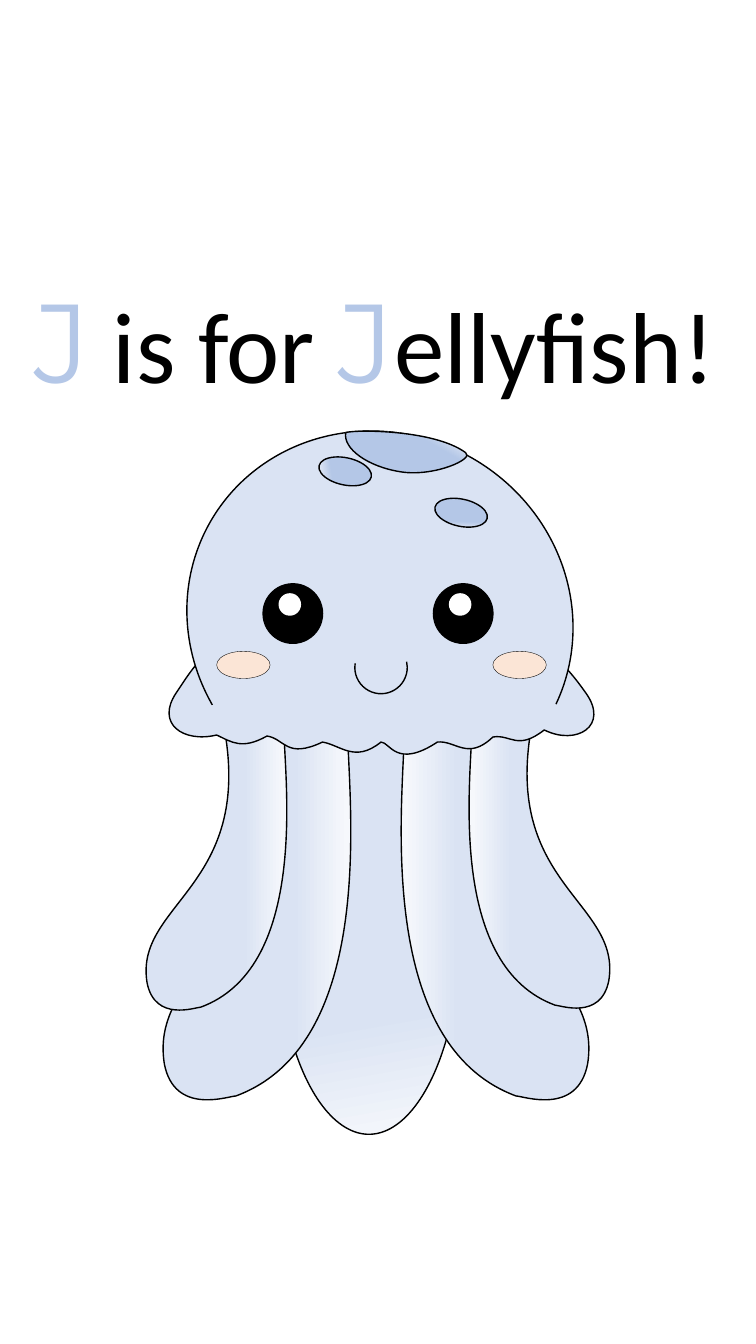
from lxml import etree
from pptx import Presentation
from pptx.dml.color import RGBColor
from pptx.enum.shapes import MSO_SHAPE
from pptx.enum.text import MSO_ANCHOR, MSO_AUTO_SIZE, PP_ALIGN
from pptx.oxml.ns import qn
from pptx.util import Cm, Pt

OVAL, RECT, ARC = MSO_SHAPE.OVAL, MSO_SHAPE.RECTANGLE, MSO_SHAPE.ARC
TOP, CENTER, FIXED = MSO_ANCHOR.TOP, PP_ALIGN.CENTER, MSO_AUTO_SIZE.NONE
INCH = 2.54
BLACK, WHITE = "000000", "FFFFFF"
PALE, SKIN, SPOT, BLUSH = "F6F8FC", "DAE3F3", "B4C7E7", "FBE5D6"

LONG = [[(2.67, 7.31)],
        [(2.67, 7.24), (2.73, 7.18), (2.8, 7.18)],
        [(3.32, 7.18)],
        [(3.39, 7.18), (3.45, 7.24), (3.45, 7.31)],
        [(3.47, 8.04), (3.72, 10.36), (2.34, 10.87)],
        [(2.27, 10.87), (1.73, 11.07), (1.63, 10.55)],
        [(1.47, 9.53), (2.97, 9.31), (2.67, 7.31)]]
SHORT = [[(2.24, 7.31)],
         [(2.24, 7.25), (2.28, 7.21), (2.34, 7.21)],
         [(2.73, 7.21)],
         [(2.78, 7.21), (2.82, 7.25), (2.82, 7.31)],
         [(2.84, 7.86), (3.03, 9.61), (1.99, 9.99)],
         [(1.94, 9.99), (1.54, 10.14), (1.46, 9.75)],
         [(1.33, 8.98), (2.47, 8.81), (2.24, 7.31)]]
SKIRT = [[(3.7, 5.98)],
         [(5.14, 6), (5.57, 6.53), (5.81, 6.87)],
         [(6.05, 7.2), (5.72, 7.4), (5.4, 7.24)],
         [(5.13, 7.45), (5.07, 7.28), (4.89, 7.31)],
         [(4.64, 7.55), (4.52, 7.34), (4.34, 7.36)],
         [(3.93, 7.63), (3.87, 7.36), (3.78, 7.36)],
         [(3.52, 7.57), (3.38, 7.39), (3.2, 7.36)],
         [(2.84, 7.53), (2.83, 7.33), (2.65, 7.3)],
         [(2.4, 7.44), (2.3, 7.36), (2.15, 7.29)],
         [(1.82, 7.37), (1.54, 7.18), (1.75, 6.87)],
         [(1.96, 6.56), (2.27, 5.96), (3.7, 5.98)]]
CROWN = [[(3.43, 4.29)],
         [(3.53, 4.26), (4.31, 4.26), (4.62, 4.49)],
         [(4.71, 4.55), (4.31, 4.73), (3.98, 4.68)],
         [(3.65, 4.63), (3.4, 4.45), (3.43, 4.29)]]


def size(inches):
    """Turn inches into a length."""
    return Cm(inches * INCH)


def tint(code):
    """Turn a hex string into a colour."""
    return RGBColor.from_string(code)


class Page:
    """Hold the current slide and its style."""

    def __init__(self, slide):
        """Keep the slide to draw on."""
        self.slide = slide

    def title(self, box, runs):
        """Fill the title placeholder with styled runs."""
        shape = self.slide.shapes.title
        shape.left, shape.top, shape.width, shape.height = map(size, box)
        frame = shape.text_frame
        frame.word_wrap, frame.auto_size = True, FIXED
        frame.vertical_anchor = TOP
        para = frame.paragraphs[0]
        para.alignment = CENTER
        for text, points, face, color in runs:
            run = para.add_run()
            run.text = text
            run.font.size, run.font.name = Pt(points), face
            run.font.color.rgb = tint(color)

    def paint(self, shape, fill, angle, line, width):
        """Set a plain or fading fill, and the outline."""
        shape.shadow.inherit = False
        if not fill:
            shape.fill.background()
        elif angle is None:
            shape.fill.solid()
            shape.fill.fore_color.rgb = tint(fill)
        else:
            shape.fill.gradient()
            shape.fill.gradient_angle = angle
            stops = shape.fill.gradient_stops
            for stop, color, place in zip(stops, (PALE, fill), (0, 0.29)):
                stop.color.rgb, stop.position = tint(color), place
        if line:
            shape.line.color.rgb = tint(line)
            shape.line.width = Pt(width)
        else:
            shape.line.fill.background()

    def shape(self, kind, box, fill, angle=None, line=BLACK, width=1,
              turn=0, bends=()):
        """Add a preset shape."""
        shape = self.slide.shapes.add_shape(kind, *map(size, box))
        shape.rotation = turn
        for index, bend in enumerate(bends):
            shape.adjustments[index] = bend
        self.paint(shape, fill, angle, line, width)

    def curve(self, path, fill, angle=None):
        """Add a closed outline of lines and cubic curves."""
        parts = [[(size(x), size(y)) for x, y in part] for part in path]
        ends = [part[-1] for part in parts]
        pen = self.slide.shapes.build_freeform(*ends[0], scale=1)
        pen.add_line_segments(ends[1:], close=True)
        shape = pen.convert_to_shape()
        nodes = list(shape.element.iter(qn("a:lnTo")))
        for node, part in zip(nodes, parts[1:]):
            if len(part) == 1:
                continue
            bend = etree.Element(qn("a:cubicBezTo"))
            for x, y in part:
                etree.SubElement(bend, qn("a:pt"), x=str(x - shape.left),
                                 y=str(y - shape.top))
            node.getparent().replace(node, bend)
        self.paint(shape, fill, angle, BLACK, 1)


def main():
    """Build the jellyfish slide."""
    deck = Presentation()
    deck.slide_width, deck.slide_height = size(7.5), size(13.33)
    page = Page(deck.slides.add_slide(deck.slide_layouts[5]))

    big = ("J", 80, "Montserrat", SPOT)
    page.title((-0.98, 2.64, 9.62, 1.45),
               [big, (" is for ", 72, "Calibri", BLACK),
                big, ("ellyfish! ", 72, "Calibri", BLACK)])

    page.shape(OVAL, (2.74, 7.07, 1.84, 4.18), SKIN, 100)
    arms = (LONG, SHORT)
    for arm in arms:
        page.curve(arm, SKIN, 180)
    for arm, span, lift in zip(arms, (7.46, 7.5), (0, 0.02)):
        page.curve([[(span - x, y - lift) for x, y in part] for part in arm],
                   SKIN, 0)

    page.curve(SKIRT, SKIN)
    page.shape(RECT, (2.13, 5.91, 3.4, 1.08), SKIN, line=None)
    page.shape(ARC, (1.93, 4.2, 3.68, 3.88), SKIN, turn=299.9,
               bends=(127.8, 51.54))

    page.curve(CROWN, SPOT, 240)
    for left, top, angle in ((3.16, 4.54, 20), (4.31, 4.95, 100)):
        page.shape(OVAL, (left, top, 0.53, 0.27), SPOT, angle, turn=12.1)

    page.shape(ARC, (3.52, 6.36, 0.52, 0.52), None, turn=149,
               bends=(119, 24.02))
    for left in (2.61, 4.3):
        page.shape(OVAL, (left, 5.79, 0.59, 0.59), BLACK)
        page.shape(OVAL, (left + 0.16, 5.89, 0.21, 0.21), WHITE, line=WHITE)
    for left in (2.15, 4.89):
        page.shape(OVAL, (left, 6.46, 0.53, 0.27), BLUSH, width=0.25)

    deck.save("out.pptx")


if __name__ == "__main__":
    main()
